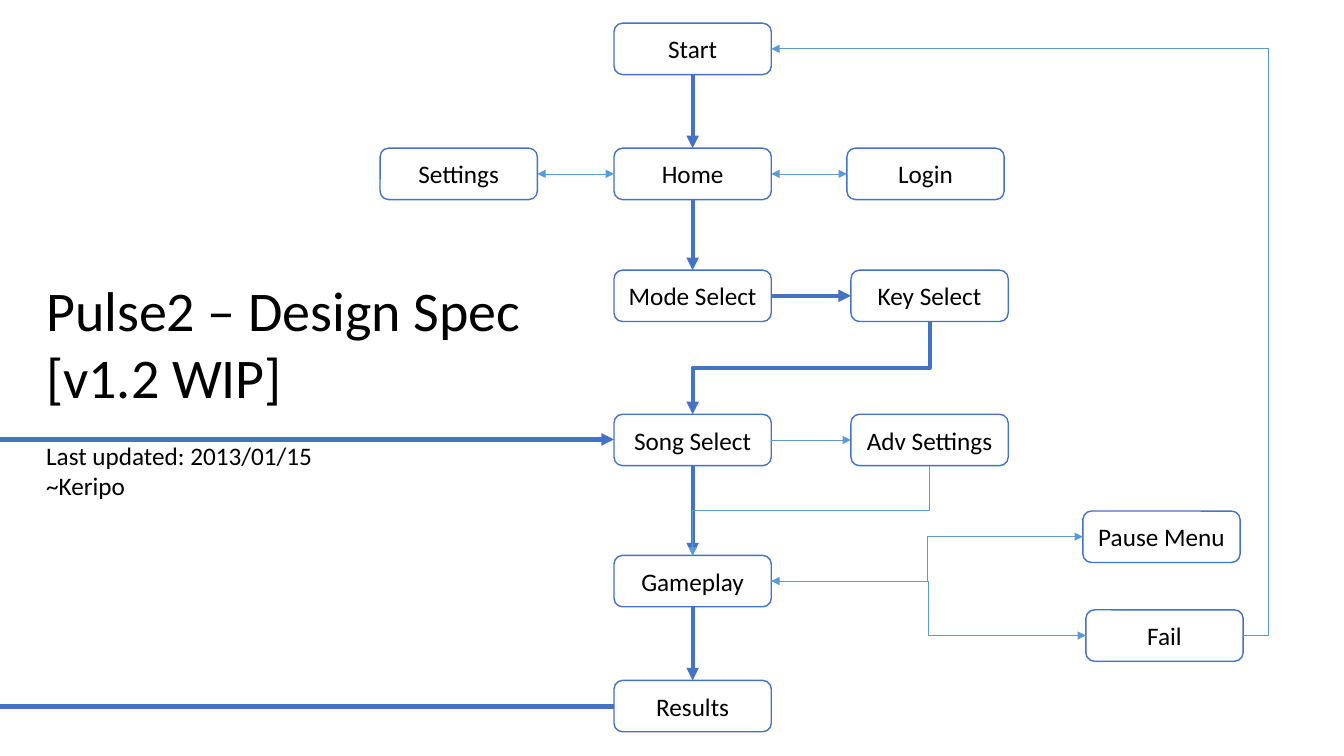
from pptx import Presentation
from pptx.dml.color import RGBColor
from pptx.enum import shapes, text
from pptx.oxml import ns
from pptx.util import Inches, Pt
from lxml import etree

BLUE = RGBColor(0x44, 0x72, 0xC4)
LIGHT_BLUE = RGBColor(0x5B, 0x9B, 0xD5)
WHITE = RGBColor(255, 255, 255)
BLACK = RGBColor(0, 0, 0)
BOX_WIDTH, BOX_HEIGHT = 1.56, 0.51
TOP, LEFT, BOTTOM, RIGHT = range(4)
MAIN_X, SIDE_X = 6.09, 8.44

deck = Presentation()
deck.slide_width, deck.slide_height = Inches(13.33), Inches(7.5)
page = deck.slides.add_slide(deck.slide_layouts[6])


def style_text(para, size):
    for span in para.runs:
        span.font.name = "Calibri"
        span.font.size = Pt(size)
        span.font.color.rgb = BLACK


def add_link(kind, start, end, main, heads):
    link = page.shapes.add_connector(kind, *[Inches(v) for v in start + end])
    link.line.color.rgb = BLUE if main else LIGHT_BLUE
    link.line.width = Pt(3 if main else 0.5)
    for head in heads:
        etree.SubElement(link.line._get_or_add_ln(), ns.qn("a:" + head), type="triangle")
    etree.SubElement(link.element.spPr, ns.qn("a:effectLst"))
    return link


screens = [
    ("Start", MAIN_X, 0.23),
    ("Home", MAIN_X, 1.47),
    ("Mode Select", MAIN_X, 2.68),
    ("Song Select", MAIN_X, 4.11),
    ("Gameplay", MAIN_X, 5.51),
    ("Results", MAIN_X, 6.75),
    ("Settings", 3.77, 1.47),
    ("Login", 8.4, 1.47),
    ("Key Select", SIDE_X, 2.68),
    ("Adv Settings", SIDE_X, 4.11),
    ("Pause Menu", 10.74, 5.07),
    ("Fail", 10.77, 6.05),
]
boxes = {}
for name, left, top in screens:
    box = page.shapes.add_shape(
        shapes.MSO_SHAPE.FLOWCHART_ALTERNATE_PROCESS,
        Inches(left), Inches(top), Inches(BOX_WIDTH), Inches(BOX_HEIGHT))
    box.shadow.inherit = False
    box.fill.solid()
    box.fill.fore_color.rgb = WHITE
    box.line.color.rgb = BLUE
    box.line.width = Pt(1)
    frame = box.text_frame
    frame.margin_left = frame.margin_right = Inches(0.05)
    frame.vertical_anchor = text.MSO_ANCHOR.MIDDLE
    frame.text = name
    frame.paragraphs[0].alignment = text.PP_ALIGN.CENTER
    style_text(frame.paragraphs[0], 18)
    boxes[name] = box

STRAIGHT, ELBOW = shapes.MSO_CONNECTOR.STRAIGHT, shapes.MSO_CONNECTOR.ELBOW
ONE_WAY, TWO_WAY = ["tailEnd"], ["headEnd", "tailEnd"]
links = [
    (STRAIGHT, "Start", BOTTOM, "Home", TOP, True, ONE_WAY),
    (STRAIGHT, "Home", BOTTOM, "Mode Select", TOP, True, ONE_WAY),
    (STRAIGHT, "Mode Select", RIGHT, "Key Select", LEFT, True, ONE_WAY),
    (STRAIGHT, "Song Select", BOTTOM, "Gameplay", TOP, True, ONE_WAY),
    (STRAIGHT, "Gameplay", BOTTOM, "Results", TOP, True, ONE_WAY),
    (STRAIGHT, "Home", LEFT, "Settings", RIGHT, False, TWO_WAY),
    (STRAIGHT, "Home", RIGHT, "Login", LEFT, False, TWO_WAY),
    (STRAIGHT, "Song Select", RIGHT, "Adv Settings", LEFT, False, ONE_WAY),
    (ELBOW, "Gameplay", RIGHT, "Pause Menu", LEFT, False, TWO_WAY),
    (ELBOW, "Gameplay", RIGHT, "Fail", LEFT, False, ONE_WAY),
    (ELBOW, "Fail", RIGHT, "Start", RIGHT, False, ONE_WAY),
    (ELBOW, "Key Select", BOTTOM, "Song Select", TOP, True, ONE_WAY),
    (ELBOW, "Adv Settings", BOTTOM, "Gameplay", TOP, False, ONE_WAY),
]
for kind, source, source_site, target, target_site, main, heads in links:
    link = add_link(kind, (0, 0), (1, 1), main, heads)
    link.begin_connect(boxes[source], source_site)
    link.end_connect(boxes[target], target_site)
    if kind == ELBOW and source_site == BOTTOM:
        across, down = link.width, link.height
        link.left += (across - down) // 2
        link.top += (down - across) // 2
        link.width, link.height = down, across
        frame = link.element.spPr.find(ns.qn("a:xfrm"))
        frame.attrib.pop("flipH", None)
        frame.set("rot", "5400000")
    if source_site == target_site:
        guides = link.element.spPr.find(ns.qn("a:prstGeom")).get_or_add_avLst()
        etree.SubElement(guides, ns.qn("a:gd"), name="adj1", fmla="val -5300")

add_link(STRAIGHT, (MAIN_X, 7.01), (0, 7.01), True, [])
add_link(STRAIGHT, (0, 4.36), (MAIN_X, 4.36), True, ONE_WAY)

title = page.shapes.add_textbox(Inches(0.36), Inches(2.68), Inches(4.97), Inches(2.36))
title.text_frame.word_wrap = True
title.text_frame.text = "Pulse2 – Design Spec\n[v1.2 WIP]\nLast updated: 2013/01/15\v~Keripo"
for para, size in zip(title.text_frame.paragraphs, (40, 40, 18)):
    style_text(para, size)
title.text_frame.paragraphs[2].space_before = Pt(22)

deck.save("out.pptx")
